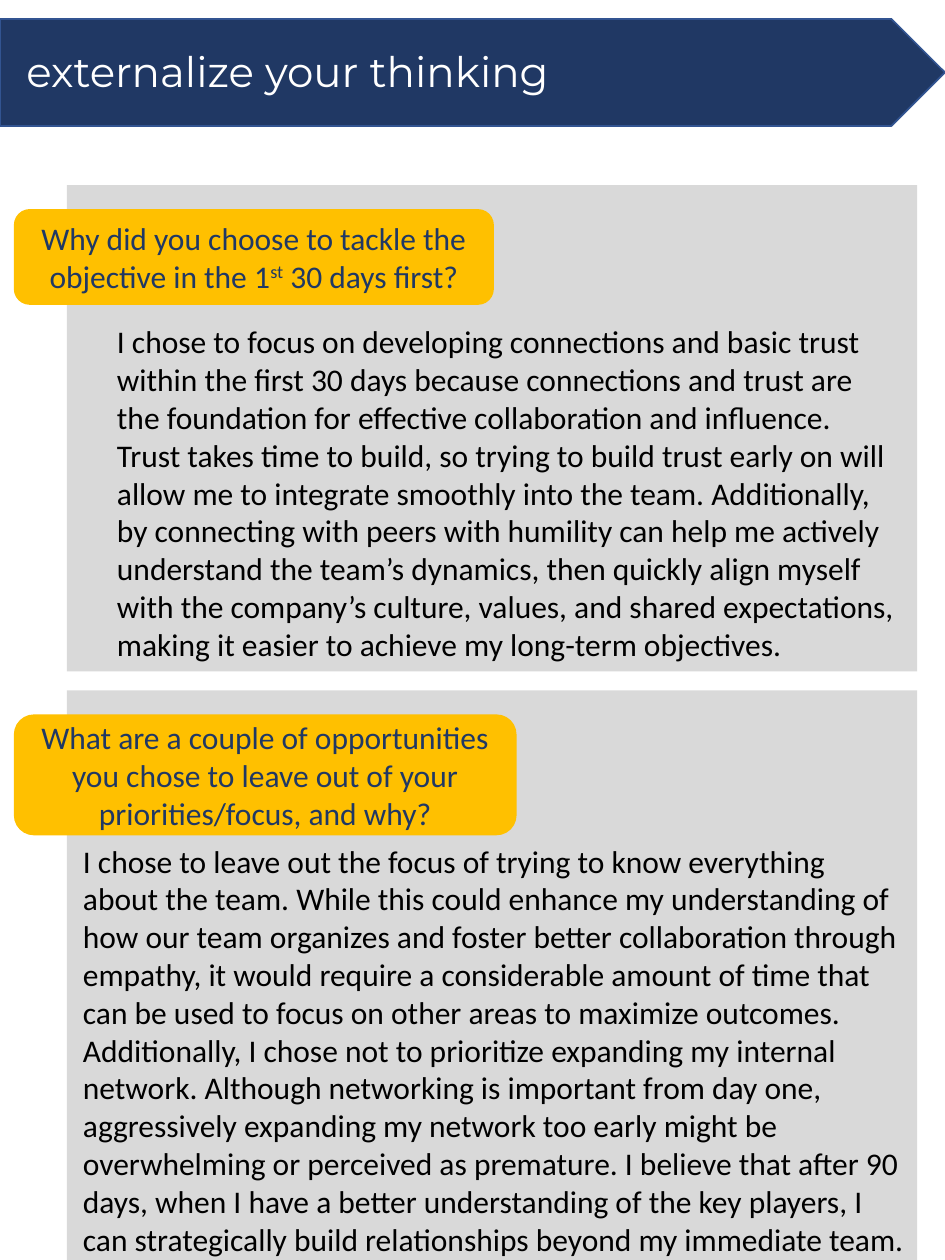
from pptx import Presentation
from pptx.dml.color import RGBColor
from pptx.enum.shapes import MSO_SHAPE
from pptx.enum.text import MSO_ANCHOR, MSO_AUTO_SIZE, PP_ALIGN
from pptx.util import Inches, Pt

PENTAGON = MSO_SHAPE.PENTAGON
RECTANGLE = MSO_SHAPE.RECTANGLE
ROUNDED = MSO_SHAPE.ROUNDED_RECTANGLE
MIDDLE = MSO_ANCHOR.MIDDLE
LEFT, CENTER = PP_ALIGN.LEFT, PP_ALIGN.CENTER
FIT_SHAPE, NO_FIT = MSO_AUTO_SIZE.SHAPE_TO_FIT_TEXT, MSO_AUTO_SIZE.NONE

COLORS = {
    "navy": "203864",
    "outline": "325491",
    "panel": "D9D9D9",
    "gold": "FFC000",
    "white": "FFFFFF",
    "black": "000000",
}

TITLE = "externalize your thinking"
SECTIONS = [
    {
        "question": [
            ("Why did you choose to tackle the objective in the 1", False),
            ("st", True),
            (" 30 days first?", False),
        ],
        "answer": (
            "I chose to focus on developing connections and basic trust within the first 30 days "
            "because connections and trust are the foundation for effective collaboration and "
            "influence. Trust takes time to build, so trying to build trust early on will allow me "
            "to integrate smoothly into the team. Additionally, by connecting with peers with "
            "humility can help me actively understand the team’s dynamics, then quickly align "
            "myself with the company’s culture, values, and shared expectations, making it easier "
            "to achieve my long-term objectives."
        ),
        "panel_top": 1.47,
        "panel_height": 3.86,
        "question_size": (3.81, 0.76),
        "answer_box": (0.83, 2.51, 6.38, 2.83),
    },
    {
        "question": [
            (
                "What are a couple of opportunities you chose to leave out of your "
                "priorities/focus, and why?",
                False,
            ),
        ],
        "answer": (
            "I chose to leave out the focus of trying to know everything about the team. While "
            "this could enhance my understanding of how our team organizes and foster better "
            "collaboration through empathy, it would require a considerable amount of time that "
            "can be used to focus on other areas to maximize outcomes. Additionally, I chose not "
            "to prioritize expanding my internal network. Although networking is important from "
            "day one, aggressively expanding my network too early might be overwhelming or "
            "perceived as premature. I believe that after 90 days, when I have a better "
            "understanding of the key players, I can strategically build relationships beyond my "
            "immediate team."
        ),
        "panel_top": 5.48,
        "panel_height": 4.52,
        "question_size": (3.99, 0.96),
        "answer_box": (0.56, 6.63, 6.72, 3.43),
    },
]
PANEL_LEFT, PANEL_WIDTH = 0.53, 6.75
QUESTION_LEFT, QUESTION_DROP = 0.11, 0.19


def color(name):
    return RGBColor.from_string(COLORS[name])


def style_run(run, size, font_name, color_name):
    run.font.size = Pt(size)
    run.font.name = font_name
    run.font.color.rgb = color(color_name)


def add_block(slide, kind, box, fill, outline=None):
    shape = slide.shapes.add_shape(kind, *map(Inches, box))
    shape.shadow.inherit = False
    shape.fill.solid()
    shape.fill.fore_color.rgb = color(fill)
    if outline:
        shape.line.color.rgb = color(outline)
        shape.line.width = Pt(1)
    else:
        shape.line.fill.background()
    return shape


def add_title(slide):
    banner = add_block(slide, PENTAGON, (0, 0.15, 7.5, 0.85), "navy", "outline")
    title = slide.shapes.title
    title._element.addprevious(banner._element)
    title.left, title.top, title.width, title.height = map(Inches, (0.11, -0.29, 8.68, 1.75))
    frame = title.text_frame
    frame.text = TITLE
    frame.vertical_anchor = MIDDLE
    frame.auto_size = NO_FIT
    paragraph = frame.paragraphs[0]
    paragraph.alignment = LEFT
    paragraph.line_spacing = 0.9
    style_run(paragraph.runs[0], 24, "Montserrat", "white")


def add_question(slide, section):
    top = section["panel_top"] + QUESTION_DROP
    shape = add_block(slide, ROUNDED, (QUESTION_LEFT, top, *section["question_size"]), "gold")
    shape.text_frame.vertical_anchor = MIDDLE
    paragraph = shape.text_frame.paragraphs[0]
    paragraph.alignment = CENTER
    for text, superscript in section["question"]:
        run = paragraph.add_run()
        run.text = text
        style_run(run, 18, "Calibri", "navy")
        if superscript:
            run._r.get_or_add_rPr().set("baseline", "30000")


def add_answer(slide, section):
    frame = slide.shapes.add_textbox(*map(Inches, section["answer_box"])).text_frame
    frame.word_wrap = True
    frame.auto_size = FIT_SHAPE
    frame.text = section["answer"]
    style_run(frame.paragraphs[0].runs[0], 18, "Calibri", "black")


def main():
    presentation = Presentation()
    presentation.slide_width, presentation.slide_height = Inches(7.5), Inches(10)
    slide = presentation.slides.add_slide(presentation.slide_layouts[5])
    add_title(slide)
    for section in SECTIONS:
        box = (PANEL_LEFT, section["panel_top"], PANEL_WIDTH, section["panel_height"])
        add_block(slide, RECTANGLE, box, "panel")
    for section in SECTIONS:
        add_question(slide, section)
    for section in SECTIONS:
        add_answer(slide, section)
    presentation.save("out.pptx")


if __name__ == "__main__":
    main()
